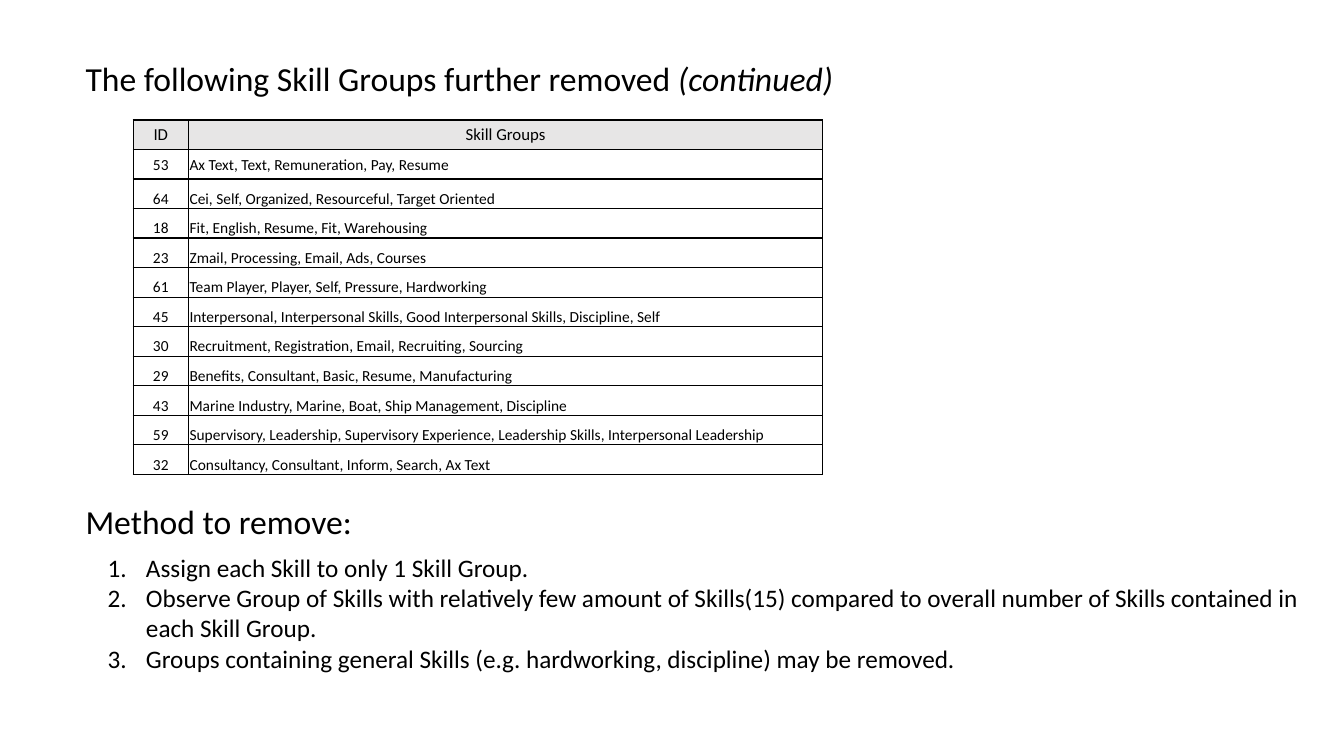
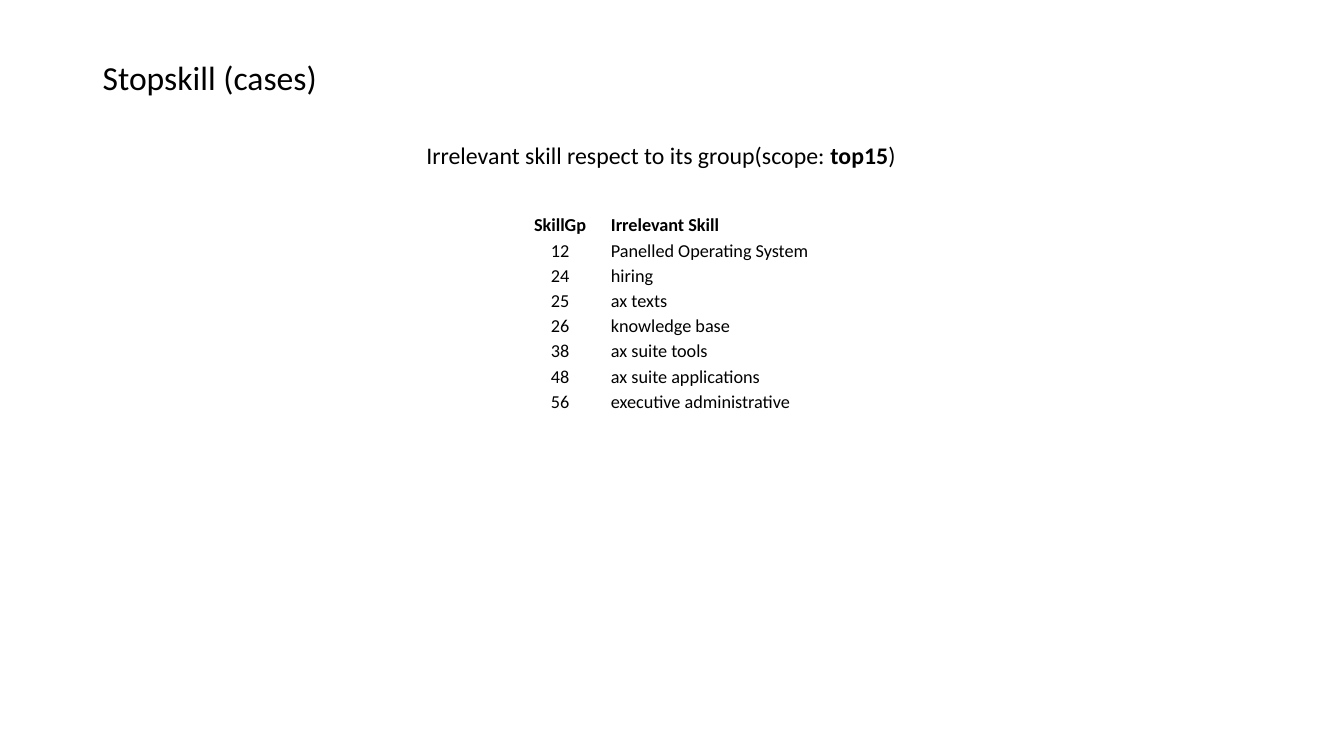
"""Build two slides on the skill groups and skills that were removed."""
import lxml.etree
import pptx
import pptx.dml.color
import pptx.enum.text
import pptx.oxml.ns
import pptx.util

Inches = pptx.util.Inches
Pt = pptx.util.Pt
qn = pptx.oxml.ns.qn
ALIGN = pptx.enum.text.PP_ALIGN
ANCHOR = pptx.enum.text.MSO_ANCHOR

BLACK = pptx.dml.color.RGBColor(0x00, 0x00, 0x00)
HEADER_GREY = pptx.dml.color.RGBColor(0xE7, 0xE6, 0xE6)

REMOVED_GROUPS = [
    ("ID", "Skill Groups"),
    ("53", "Ax Text, Text, Remuneration, Pay, Resume"),
    ("64", "Cei, Self, Organized, Resourceful, Target Oriented"),
    ("18", "Fit, English, Resume, Fit, Warehousing"),
    ("23", "Zmail, Processing, Email, Ads, Courses"),
    ("61", "Team Player, Player, Self, Pressure, Hardworking"),
    ("45", "Interpersonal, Interpersonal Skills, Good Interpersonal Skills, Discipline, Self"),
    ("30", "Recruitment, Registration, Email, Recruiting, Sourcing"),
    ("29", "Benefits, Consultant, Basic, Resume, Manufacturing"),
    ("43", "Marine Industry, Marine, Boat, Ship Management, Discipline"),
    ("59", "Supervisory, Leadership, Supervisory Experience, Leadership Skills, "
           "Interpersonal Leadership"),
    ("32", "Consultancy, Consultant, Inform, Search, Ax Text"),
]

METHOD_STEPS = [
    "Assign each Skill to only 1 Skill Group.",
    "Observe Group of Skills with relatively few amount of Skills(15) compared to "
    "overall number of Skills contained in each Skill Group.",
    "Groups containing general Skills (e.g. hardworking, discipline) may be removed.",
]

IRRELEVANT_SKILLS = [
    ("SkillGp", "Irrelevant Skill"),
    ("12", "Panelled Operating System"),
    ("24", "hiring"),
    ("25", "ax texts"),
    ("26", "knowledge base"),
    ("38", "ax suite tools"),
    ("48", "ax suite applications"),
    ("56", "executive administrative"),
]


class Deck:
    """Hold the shared style and the current slide."""

    font = "Calibri"
    title_size = 24

    def __init__(self):
        self.prs = pptx.Presentation()
        self.prs.slide_width = Inches(13.33)
        self.prs.slide_height = Inches(7.5)
        self.s = None

    def slide(self):
        self.s = self.prs.slides.add_slide(self.prs.slide_layouts[6])

    def style(self, r, size, bold=False, italic=False):
        r.font.name = self.font
        r.font.size = Pt(size)
        r.font.color.rgb = BLACK
        r.font.bold = bold
        r.font.italic = italic

    def frame(self, x, y, w, h, anchor=ANCHOR.TOP):
        sp = self.s.shapes.add_textbox(Inches(x), Inches(y), Inches(w), Inches(h))
        tf = sp.text_frame
        tf.word_wrap = True
        tf.vertical_anchor = anchor
        return tf

    def line(self, box, parts, size=title_size, anchor=ANCHOR.TOP, spacing=None):
        p = self.frame(*box, anchor).paragraphs[0]
        p.line_spacing = spacing
        for text, emphasis in parts:
            r = p.add_run()
            r.text = text
            self.style(r, size, bold=emphasis == "bold", italic=emphasis == "italic")

    def numbered(self, box, items, size, indent):
        tf = self.frame(*box)
        tf.text = "\n".join(items)
        for p in tf.paragraphs:
            self.style(p.runs[0], size)
            pPr = p._p.get_or_add_pPr()
            pPr.set("marL", str(Inches(indent)))
            pPr.set("indent", str(-Inches(indent)))
            lxml.etree.SubElement(pPr, qn("a:buAutoNum"), type="arabicPeriod")

    def border(self, cell):
        tcPr = cell._tc.get_or_add_tcPr()
        for side in ("lnL", "lnR", "lnT", "lnB"):
            ln = lxml.etree.SubElement(tcPr, qn("a:" + side), w=str(Pt(1)))
            fill = lxml.etree.SubElement(ln, qn("a:solidFill"))
            lxml.etree.SubElement(fill, qn("a:srgbClr"), val=str(BLACK))

    def table(self, x, y, widths, row_height, rows, size, header_size,
              header_bold=False, header_fill=None, bordered=False, middle_rows=0):
        shape = self.s.shapes.add_table(
            len(rows), len(widths), Inches(x), Inches(y),
            Inches(sum(widths)), Inches(row_height * len(rows)))
        table = shape.table
        table.first_row = table.horz_banding = False
        for column, width in zip(table.columns, widths):
            column.width = Inches(width)
        for i, values in enumerate(rows):
            header = i == 0
            table.rows[i].height = Inches(row_height)
            for j, value in enumerate(values):
                cell = table.cell(i, j)
                cell.margin_left = cell.margin_right = cell.margin_top = Inches(0.01)
                cell.margin_bottom = 0
                cell.vertical_anchor = ANCHOR.MIDDLE if i < middle_rows else ANCHOR.BOTTOM
                if bordered:
                    self.border(cell)
                if header and header_fill is not None:
                    cell.fill.solid()
                    cell.fill.fore_color.rgb = header_fill
                else:
                    cell.fill.background()
                p = cell.text_frame.paragraphs[0]
                p.text = value
                centred = j == 0 or (header and header_fill is not None)
                p.alignment = ALIGN.CENTER if centred else ALIGN.LEFT
                self.style(p.runs[0], header_size if header else size,
                           bold=header and header_bold)


def main():
    deck = Deck()

    deck.slide()
    deck.line((0.75, 0.53, 10.6, 0.5),
              [("The following Skill Groups further removed ", None),
               ("(continued)", "italic")])
    deck.table(1.32, 1.19, (0.55, 6.29), 0.293, REMOVED_GROUPS, size=11, header_size=12,
               header_fill=HEADER_GREY, bordered=True, middle_rows=2)
    deck.line((0.75, 4.92, 10.6, 0.5), [("Method to remove:", None)])
    deck.numbered((0.97, 5.43, 12.36, 1.62), METHOD_STEPS, size=18, indent=0.38)

    deck.slide()
    deck.line((0.92, 0.4, 11.5, 0.77), [("Stopskill (cases)", None)],
              anchor=ANCHOR.MIDDLE, spacing=0.9)
    deck.table(5.06, 2.1, (0.99, 2.22), 0.25, IRRELEVANT_SKILLS, size=13, header_size=13,
               header_bold=True)
    deck.line((4.13, 1.39, 5.08, 0.35),
              [("Irrelevant skill respect to its group(scope: ", None),
               ("top15", "bold"), (")", None)],
              size=17, anchor=ANCHOR.MIDDLE, spacing=0.8)

    deck.prs.save("out.pptx")


if __name__ == "__main__":
    main()
